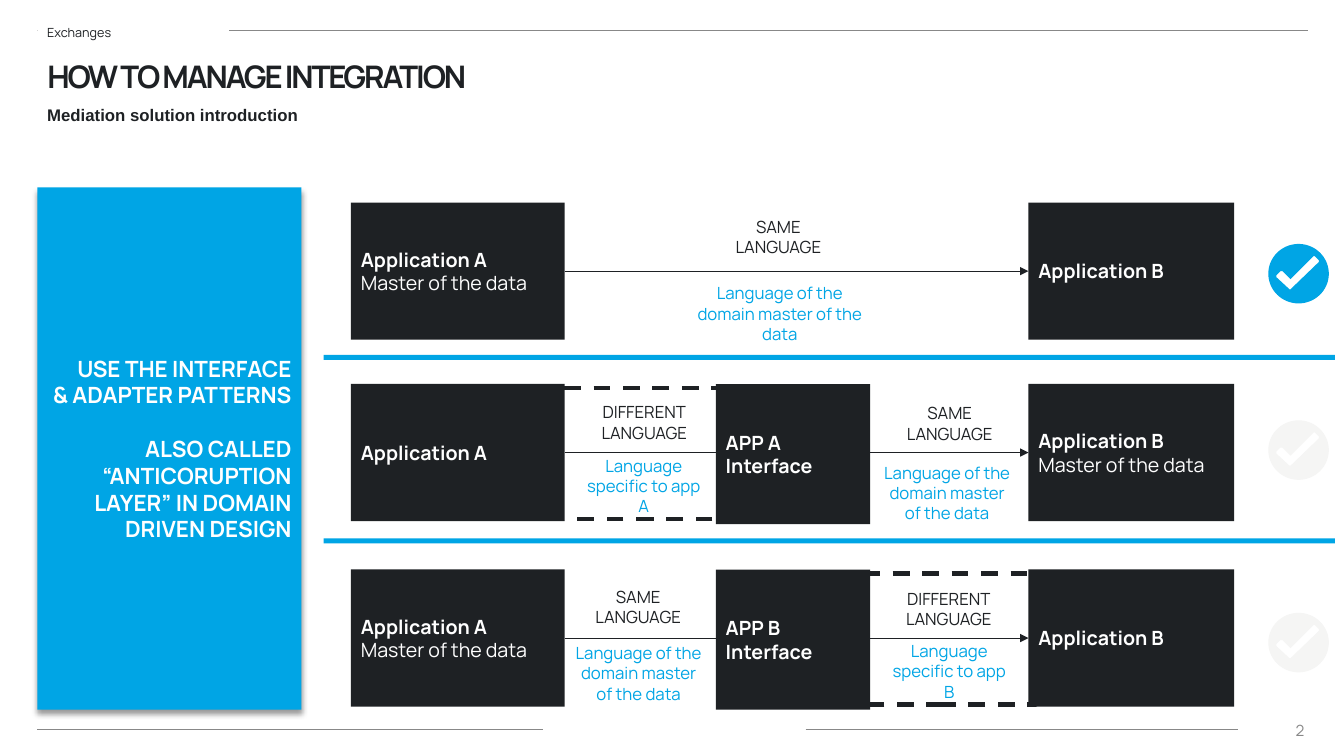
from dataclasses import dataclass
from math import cos, pi, sin

from lxml import etree
from pptx import Presentation
from pptx.dml.color import RGBColor
from pptx.enum.dml import MSO_LINE
from pptx.enum.shapes import MSO_CONNECTOR, MSO_SHAPE
from pptx.enum.text import MSO_ANCHOR as Anchor, MSO_AUTO_SIZE, PP_ALIGN as Align
from pptx.oxml import parse_xml
from pptx.oxml.ns import nsdecls, qn
from pptx.util import Inches, Pt


@dataclass(frozen=True)
class Theme:
    """Colours, fonts and type sizes of the slide."""
    ink: str = "1E2124"
    accent: str = "00A5E5"
    white: str = "FFFFFF"
    rule: str = "888888"
    muted: str = "F5F5F4"
    font: str = "Manrope"
    subtitle_font: str = "Arial"
    title: float = 22.2
    panel: float = 16
    box: float = 14
    label: float = 12
    number: float = 11
    banner: float = 9


THEME = Theme()
APP_HEIGHT = 1.36
APP_A = (3.48, 2.12)
APP_B = (10.2, 2.04)
INTERFACE = (7.1, 1.53)
SAME = "SAME\nLANGUAGE"
DIFFERENT = "DIFFERENT\nLANGUAGE"
MASTER_LANGUAGE = "Language of the domain master of the data"
MASTER = "\nMaster of the data"

ROWS = [
    dict(top=2.01, a="Application A" + MASTER, b="Application B",
         check=(2.42, THEME.accent),
         captions=[(SAME, 6.93, 2.1)],
         languages=[(MASTER_LANGUAGE, 6.75, 2.76, 1.97)]),
    dict(top=3.81, a="Application A", b="Application B" + MASTER,
         check=(4.17, THEME.muted), interface="APP A Interface",
         dashed=(5.37, 2.21),
         captions=[(DIFFERENT, 5.6, 3.94), (SAME, 8.63, 3.95)],
         languages=[("Language specific to app A", 5.71, 4.47, 1.35),
                    (MASTER_LANGUAGE, 8.63, 4.54, 1.53)]),
    dict(top=5.65, a="Application A" + MASTER, b="Application B",
         check=(6.08, THEME.muted), interface="APP B Interface",
         dashed=(8.44, 1.83),
         captions=[(SAME, 5.54, 5.77), (DIFFERENT, 8.62, 5.79)],
         languages=[(MASTER_LANGUAGE, 5.57, 6.33, 1.53),
                    ("Language specific to app B", 8.74, 6.31, 1.35)]),
]


def rgb(color):
    """Turn a hex string into a colour."""
    return RGBColor.from_string(color)


def write(frame, text, size, color, align=Align.LEFT, bold=False,
          font=THEME.font, anchor=Anchor.TOP, wrap=True):
    """Fill a text frame and format all of its runs."""
    frame.text = text
    frame.word_wrap = wrap
    frame.vertical_anchor = anchor
    for paragraph in frame.paragraphs:
        paragraph.alignment = align
        for run in paragraph.runs:
            run.font.name = font
            run.font.size = Pt(size)
            run.font.bold = bold
            run.font.color.rgb = rgb(color)


def add_label(slide, text, left, top, width, height, size, color, **style):
    """Add a text box with formatted text."""
    label = slide.shapes.add_textbox(*map(Inches, (left, top, width, height)))
    write(label.text_frame, text, size, color, **style)
    return label


def add_block(slide, left, top, width, height, fill=None):
    """Add a rectangle without outline or shadow."""
    block = slide.shapes.add_shape(
        MSO_SHAPE.RECTANGLE, *map(Inches, (left, top, width, height)))
    block.shadow.inherit = False
    block.line.fill.background()
    if fill:
        block.fill.solid()
        block.fill.fore_color.rgb = rgb(fill)
    else:
        block.fill.background()
    return block


def add_app(slide, text, left, top, width, height=APP_HEIGHT):
    """Add a dark application box whose first line is bold."""
    app = add_block(slide, left, top, width, height, THEME.ink)
    write(app.text_frame, text, THEME.box, THEME.white, anchor=Anchor.MIDDLE)
    app.text_frame.paragraphs[0].runs[0].font.bold = True
    return app


def add_line(slide, left, right, y, color):
    """Add a thin horizontal line without shadow."""
    line = slide.shapes.add_connector(
        MSO_CONNECTOR.STRAIGHT, *map(Inches, (left, y, right, y)))
    line.line.color.rgb = rgb(color)
    line.line.width = Pt(0.5)
    etree.SubElement(line._element.spPr, qn("a:effectLst"))
    return line


def add_flow(slide, source, target, y):
    """Join two applications with an arrow."""
    flow = add_line(slide, sum(APP_A), APP_B[0], y, THEME.ink)
    flow.begin_connect(source, 3)
    flow.end_connect(target, 1)
    etree.SubElement(flow.line._get_or_add_ln(), qn("a:tailEnd"), type="triangle")


def add_dashed_frame(slide, left, top, width):
    """Add a dashed frame around a language difference."""
    frame = add_block(slide, left, top, width, 1.3)
    frame.line.color.rgb = rgb(THEME.ink)
    frame.line.width = Pt(3)
    frame.line.dash_style = MSO_LINE.DASH


def add_check(slide, top, color):
    """Add a disc with a tick cut out of it."""
    left, radius_x, radius_y, steps = 12.58, 0.3, 0.295, 72
    angles = [-2 * pi * step / steps for step in range(steps)]
    disc = [(radius_x * (1 + cos(a)), radius_y * (1 + sin(a))) for a in angles]
    tick = [(0.22, 0.35), (0.45, 0.12), (0.46, 0.12), (0.5, 0.16), (0.5, 0.18),
            (0.22, 0.45), (0.21, 0.45), (0.08, 0.33), (0.08, 0.31),
            (0.12, 0.27), (0.14, 0.27)]
    disc, tick = ([(Inches(left + x), Inches(top + y)) for x, y in outline]
                  for outline in (disc, tick))
    builder = slide.shapes.build_freeform(*disc[0])
    builder.add_line_segments(disc[1:])
    builder.move_to(*tick[0])
    builder.add_line_segments(tick[1:])
    check = builder.convert_to_shape()
    check.shadow.inherit = False
    check.fill.solid()
    check.fill.fore_color.rgb = rgb(color)
    check.line.fill.background()


def add_panel(slide):
    """Add the blue summary panel with its soft shadow."""
    panel = add_block(slide, 0.37, 1.86, 2.62, 5.18, THEME.accent)
    write(panel.text_frame,
          "USE THE INTERFACE & ADAPTER PATTERNS\n"
          "ALSO CALLED “ANTICORUPTION LAYER” IN DOMAIN DRIVEN DESIGN",
          THEME.panel, THEME.white, Align.RIGHT, True, anchor=Anchor.MIDDLE)
    for paragraph in panel.text_frame.paragraphs:
        paragraph._p.get_or_add_pPr().set("indent", str(Inches(0.29)))
    panel.text_frame.paragraphs[1].space_before = Pt(19)
    effects = panel._element.spPr.find(qn("a:effectLst"))
    effects.append(parse_xml(
        f'<a:outerShdw {nsdecls("a")} blurRad="{Pt(4)}" dist="{Pt(3)}" '
        'dir="5400000" rotWithShape="0"><a:srgbClr val="000000">'
        '<a:alpha val="40000"/></a:srgbClr></a:outerShdw>'))


def add_header(slide):
    """Add the rules, section name, title, subtitle and page number."""
    for left, right, y in ((0.37, 12.97, 0.3), (0.37, 5.39, 7.24), (7.99, 12.28, 7.24)):
        add_line(slide, left, right, y, THEME.rule)
    section = add_block(slide, 0.37, 0.27, 1.9, 0.1, THEME.white)
    write(section.text_frame, "Exchanges", THEME.banner, THEME.ink, anchor=Anchor.MIDDLE)
    title = slide.shapes.title
    title.left, title.top, title.width, title.height = map(Inches, (0.37, 0.62, 12.5, 0.39))
    write(title.text_frame, "HOW TO MANAGE INTEGRATION", THEME.title, THEME.ink, bold=True)
    title.text_frame.auto_size = MSO_AUTO_SIZE.NONE
    heading = title.text_frame.paragraphs[0]
    heading.line_spacing = 0.7
    heading.runs[0].font._element.set("spc", "-150")
    subtitle = add_label(slide, "Mediation solution introduction", 0.37, 1.01, 12.5, 0.3,
                         THEME.label, THEME.ink, bold=True, font=THEME.subtitle_font)
    subtitle.text_frame.paragraphs[0].line_spacing = 0.9
    add_label(slide, "2", 12.63, 7.1, 0.53, 0.29, THEME.number, THEME.rule,
              align=Align.CENTER, anchor=Anchor.MIDDLE)


def add_row(slide, row):
    """Add one integration case with its boxes, labels and verdict."""
    top = row["top"]
    app_a = add_app(slide, row["a"], APP_A[0], top, APP_A[1])
    app_b = add_app(slide, row["b"], APP_B[0], top, APP_B[1])
    add_flow(slide, app_a, app_b, top + APP_HEIGHT / 2)
    if "interface" in row:
        left, width = row["dashed"]
        add_dashed_frame(slide, left, top + 0.04, width)
        add_app(slide, row["interface"], INTERFACE[0], top, INTERFACE[1], 1.39)
    for text, left, y in row["captions"]:
        add_label(slide, text, left, y, 1.58, 0.7, THEME.label, THEME.ink,
                  align=Align.CENTER, wrap=False)
    for text, left, y, width in row["languages"]:
        add_label(slide, text, left, y, width, 0.71, THEME.label, THEME.accent,
                  align=Align.CENTER)
    add_check(slide, *row["check"])


def main():
    """Build the slide and save it."""
    deck = Presentation()
    deck.slide_width, deck.slide_height = Inches(13.33), Inches(7.5)
    slide = deck.slides.add_slide(deck.slide_layouts[5])
    add_header(slide)
    for row in ROWS:
        add_row(slide, row)
    for y in (3.52, 5.34):
        add_block(slide, 3.21, y, 10.03, 0.05, THEME.accent)
    add_panel(slide)
    deck.save("out.pptx")


if __name__ == "__main__":
    main()
